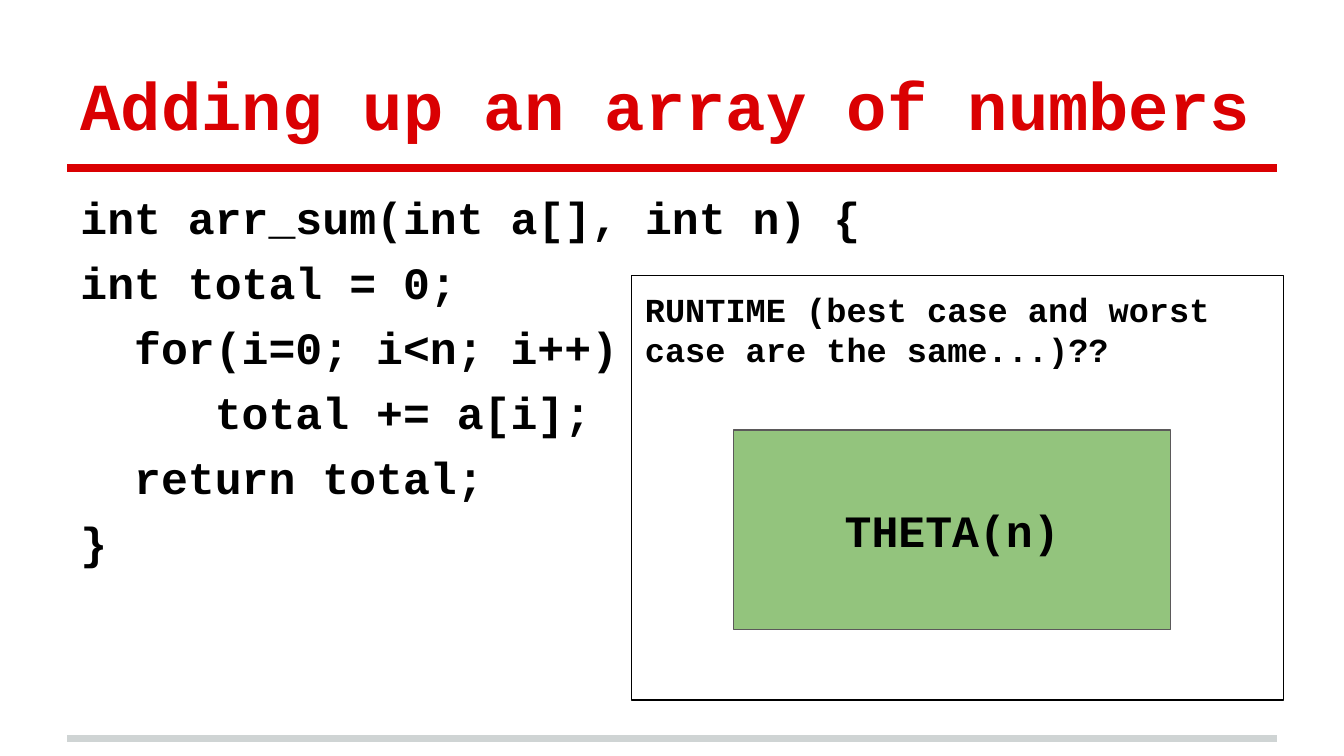
from lxml.etree import SubElement
from pptx import Presentation
from pptx.dml.color import RGBColor
from pptx.enum.shapes import MSO_CONNECTOR, MSO_SHAPE
from pptx.enum.text import MSO_ANCHOR as ANCHOR, PP_ALIGN as ALIGN
from pptx.oxml.ns import qn
from pptx.util import Emu, Pt

PX = 914400 // 200
FONT = "Courier New"
RED, BLACK, GREY = "DA0002", "000000", "CFD4D4"
LEFT, WIDTH, INSET = 100, 1800, 20

TITLE = "Adding up an array of numbers"
CODE = [
    (0, "int arr_sum(int a[], int n) {"),
    (0, "int total = 0;"),
    (2, "for(i=0; i<n; i++)"),
    (5, "total += a[i];"),
    (2, "return total;"),
    (0, "}"),
]
RULES = [(1099, GREY), (250, RED)]
BOXES = [
    dict(text="RUNTIME (best case and worst case are the same...)??",
         at=(940, 410, 970, 632), size=18, fill=None, line=BLACK,
         anchor=ANCHOR.TOP, align=ALIGN.LEFT),
    dict(text="THETA(n)", at=(1092, 640, 650, 297), size=24, fill="93C47D",
         line="5B595A", anchor=ANCHOR.MIDDLE, align=ALIGN.CENTER),
]


def px(*values):
    """Turn px lengths into EMU."""
    return [Emu(v * PX) for v in values]


def rgb(value):
    """Turn a hex string into a colour."""
    return RGBColor.from_string(value)


def set_frame(tf, anchor):
    """Give a text frame its wrapping, insets and anchor."""
    tf.word_wrap = True
    tf.vertical_anchor = anchor
    tf.margin_left, tf.margin_top, tf.margin_right, tf.margin_bottom = px(*[INSET] * 4)


def write(p, text, size, color=BLACK, align=ALIGN.LEFT):
    """Add one bold run to a paragraph."""
    p.alignment = align
    r = p.add_run()
    r.text = text
    r.font.name, r.font.size, r.font.bold = FONT, Pt(size), True
    r.font.color.rgb = rgb(color)


def add_rule(s, y, color):
    """Draw a thick horizontal rule across the content width."""
    line = s.shapes.add_connector(MSO_CONNECTOR.STRAIGHT, *px(LEFT, y, LEFT + WIDTH, y))
    line.line.color.rgb, line.line.width = rgb(color), Pt(4)
    SubElement(line._element.spPr, qn("a:effectLst"))


def add_code(s, lines, size):
    """Write code lines, each indented by a number of characters."""
    tf = s.shapes.add_textbox(*px(LEFT, 263, WIDTH, 814)).text_frame
    set_frame(tf, ANCHOR.TOP)
    for i, (indent, text) in enumerate(lines):
        p = tf.add_paragraph() if i else tf.paragraphs[0]
        p.space_before = Pt(6)
        p._p.get_or_add_pPr().set("marL", str(Pt(indent * size * 0.6)))
        write(p, text, size)


def add_box(s, text, at, size, fill, line, anchor, align):
    """Draw a labelled rectangle."""
    sp = s.shapes.add_shape(MSO_SHAPE.RECTANGLE, *px(*at))
    sp.shadow.inherit = False
    if fill:
        sp.fill.solid()
        sp.fill.fore_color.rgb = rgb(fill)
    else:
        sp.fill.background()
    sp.line.color.rgb, sp.line.width = rgb(line), Pt(0.75)
    set_frame(sp.text_frame, anchor)
    write(sp.text_frame.paragraphs[0], text, size, align=align)


def main():
    """Build and save the slide."""
    prs = Presentation()
    prs.slide_width, prs.slide_height = px(2000, 1125)
    s = prs.slides.add_slide(prs.slide_layouts[5])
    for y, color in RULES:
        add_rule(s, y, color)
    title = s.shapes.title
    title.left, title.top, title.width, title.height = px(LEFT, 46, WIDTH, 188)
    set_frame(title.text_frame, ANCHOR.BOTTOM)
    write(title.text_frame.paragraphs[0], TITLE, 36, RED)
    add_code(s, CODE, 24)
    for box in BOXES:
        add_box(s, **box)
    prs.save("out.pptx")


if __name__ == "__main__":
    main()
